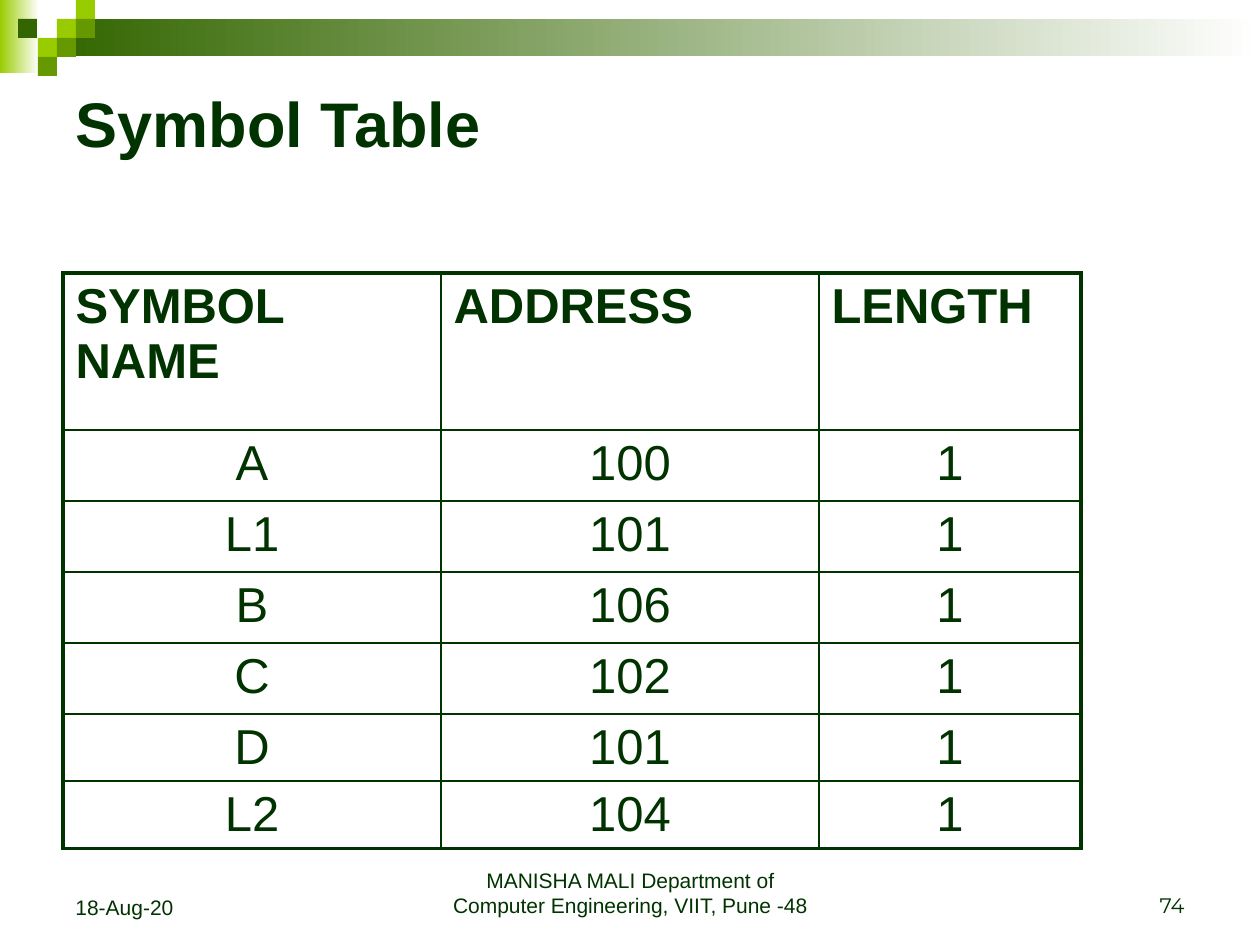
from dataclasses import dataclass

from lxml.etree import SubElement
from pptx import Presentation
from pptx.dml.color import RGBColor as Rgb
from pptx.enum.shapes import MSO_SHAPE as Shape
from pptx.enum.text import MSO_ANCHOR as Anchor, MSO_AUTO_SIZE as AutoSize, PP_ALIGN as Align
from pptx.oxml.ns import qn
from pptx.util import Pt

EMU_PER_PX = 914400 / 126


@dataclass(frozen=True)
class Theme:
    ink: str = "003300"
    dark: str = "336600"
    mid: str = "669900"
    bright: str = "99CC00"
    paper: str = "FFFFFF"
    font: str = "Arial"
    number_font: str = "Montserrat"
    title_size: int = 36
    table_size: int = 28
    footer_size: int = 12
    outer_line: float = 2.25
    inner_line: float = 1


THEME = Theme()
TILE = 19
TILES = [
    (57, 19, THEME.bright),
    (76, 0, THEME.bright),
    (76, 19, THEME.mid),
    (38, 38, THEME.bright),
    (18, 19, THEME.dark),
    (57, 38, THEME.mid),
    (38, 57, THEME.mid),
]
COLUMN_WIDTHS = [378, 378, 262]
ROW_HEIGHTS = [157] + [71] * 4 + [67] * 2
SYMBOLS = [
    ("SYMBOL NAME", "ADDRESS", "LENGTH"),
    ("A", "100", "1"),
    ("L1", "101", "1"),
    ("B", "106", "1"),
    ("C", "102", "1"),
    ("D", "101", "1"),
    ("L2", "104", "1"),
]


def px(length):
    return round(length * EMU_PER_PX)


def write(frame, text, size, align=Align.LEFT, bold=False, font=THEME.font):
    para = frame.paragraphs[0]
    para.alignment = align
    span = para.add_run()
    span.text = text
    span.font.name = font
    span.font.size = Pt(size)
    span.font.bold = bold
    span.font.color.rgb = Rgb.from_string(THEME.ink)


def add_block(page, left, top, width, height, color, fade=False):
    block = page.shapes.add_shape(Shape.RECTANGLE, px(left), px(top), px(width), px(height))
    block.shadow.inherit = False
    block.line.fill.background()
    if fade:
        block.fill.gradient()
        block.fill.gradient_angle = 0
        for stop, position, shade in zip(block.fill.gradient_stops, (0, 1), (color, THEME.paper)):
            stop.position = position
            stop.color.rgb = Rgb.from_string(shade)
    else:
        block.fill.solid()
        block.fill.fore_color.rgb = Rgb.from_string(color)


def add_header_band(page):
    add_block(page, 0, 0, 39, 73, THEME.bright, fade=True)
    add_block(page, 57, 19, 1203, 37, THEME.dark, fade=True)
    for left, top, color in TILES:
        add_block(page, left, top, TILE, TILE, color)


def set_title(page, text):
    title = page.shapes.title
    title.left, title.top, title.width, title.height = map(px, (63, 63, 1134, 118))
    frame = title.text_frame
    frame.auto_size = AutoSize.NONE
    frame.vertical_anchor = Anchor.MIDDLE
    write(frame, text, THEME.title_size, bold=True)


def set_borders(cell, sides):
    properties = cell._tc.get_or_add_tcPr()
    for index, (side, is_outer) in enumerate(sides.items()):
        width = THEME.outer_line if is_outer else THEME.inner_line
        line = SubElement(properties, qn(f"a:ln{side}"), w=str(Pt(width)))
        SubElement(SubElement(line, qn("a:solidFill")), qn("a:srgbClr"), val=THEME.ink)
        properties.insert(index, line)


def add_symbol_table(page, left, top):
    row_count, column_count = len(ROW_HEIGHTS), len(COLUMN_WIDTHS)
    table = page.shapes.add_table(
        row_count, column_count, px(left), px(top), px(sum(COLUMN_WIDTHS)), px(sum(ROW_HEIGHTS))
    ).table
    table.first_row = table.horz_banding = False
    for column, width in zip(table.columns, COLUMN_WIDTHS):
        column.width = px(width)
    for row_index, (row, height, texts) in enumerate(zip(table.rows, ROW_HEIGHTS, SYMBOLS)):
        row.height = px(height)
        is_head = row_index == 0
        for column_index, (cell, text) in enumerate(zip(row.cells, texts)):
            cell.fill.background()
            align = Align.LEFT if is_head else Align.CENTER
            write(cell.text_frame, text, THEME.table_size, align, bold=is_head)
            set_borders(cell, {
                "L": column_index == 0,
                "R": column_index == column_count - 1,
                "T": is_head,
                "B": row_index == row_count - 1,
            })


def add_footer(page, left, width, height, text, align, font=THEME.font):
    box = page.shapes.add_textbox(px(left), px(861), px(width), px(height))
    frame = box.text_frame
    frame.word_wrap = True
    frame.vertical_anchor = Anchor.BOTTOM
    write(frame, text, THEME.footer_size, align, font=font)


def main():
    deck = Presentation()
    deck.slide_width, deck.slide_height = px(1260), px(945)
    page = deck.slides.add_slide(deck.slide_layouts[5])
    add_header_band(page)
    set_title(page, "Symbol Table")
    add_symbol_table(page, 63, 273)
    add_footer(page, 63, 294, 65, "18-Aug-20", Align.LEFT)
    add_footer(page, 431, 399, 63,
               "MANISHA MALI Department of Computer Engineering, VIIT, Pune -48", Align.CENTER)
    add_footer(page, 903, 294, 63, "74", Align.RIGHT, THEME.number_font)
    deck.save("out.pptx")


if __name__ == "__main__":
    main()
